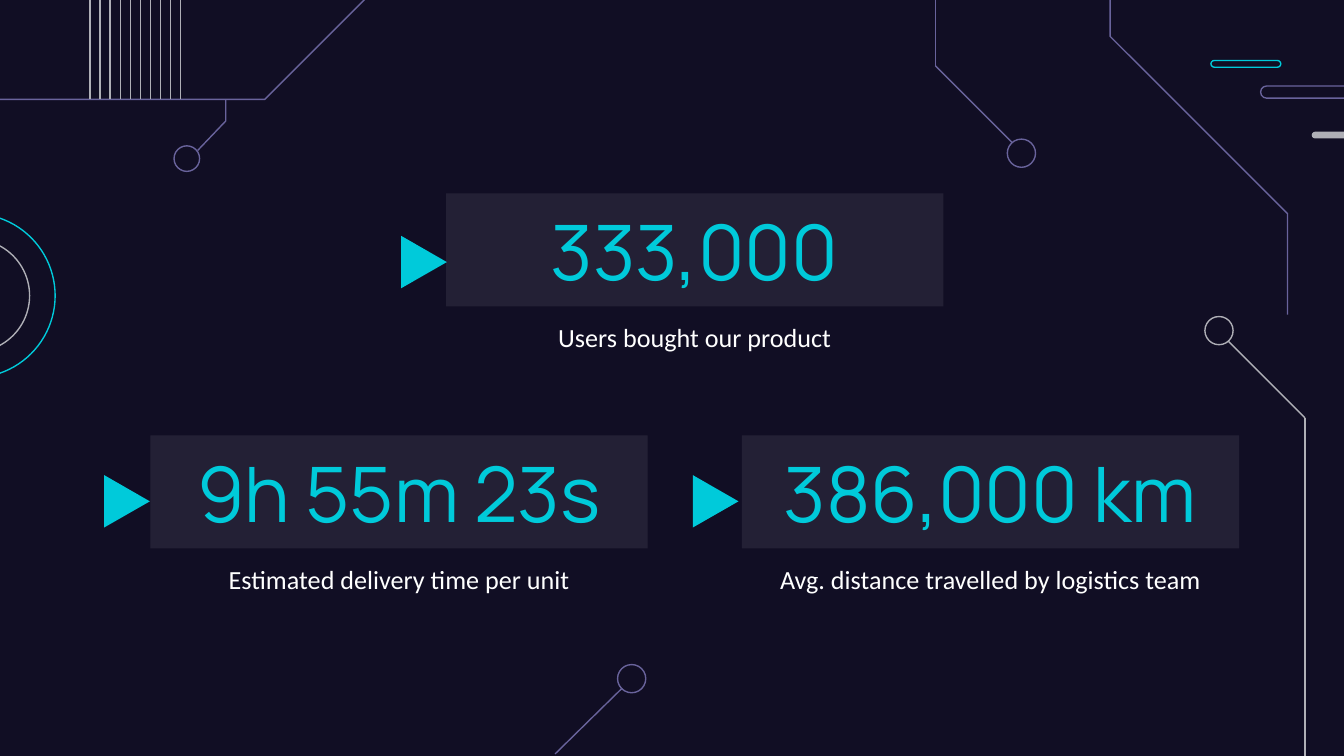
from dataclasses import dataclass

from lxml.etree import SubElement
from pptx import Presentation
from pptx.dml.color import RGBColor
from pptx.enum.shapes import MSO_CONNECTOR, MSO_SHAPE
from pptx.enum.text import MSO_ANCHOR, PP_ALIGN
from pptx.oxml.ns import qn
from pptx.util import Inches, Pt


@dataclass(frozen=True)
class Theme:
    background: str = "110E24"
    cyan: str = "00CADA"
    purple: str = "69639C"
    grey: str = "AFAFB6"
    white: str = "FFFFFF"
    panel_opacity: int = 8
    number_font: str = "Manrope"
    number_size: int = 41
    label_font: str = "Calibri"
    label_size: int = 14
    line_width: float = 0.75


def write_text(sp, text, *, font, size, color, anchor=MSO_ANCHOR.TOP):
    tf = sp.text_frame
    tf.word_wrap = True
    tf.vertical_anchor = anchor
    tf.margin_left = tf.margin_right = tf.margin_top = tf.margin_bottom = Inches(0.1)
    p = tf.paragraphs[0]
    p.alignment = PP_ALIGN.CENTER
    r = p.add_run()
    r.text = text
    r.font.name = font
    r.font.size = Pt(size)
    r.font.color.rgb = RGBColor.from_string(color)


class Deck:
    def __init__(self, theme, width, height):
        self.theme = theme
        self.prs = Presentation()
        self.prs.slide_width, self.prs.slide_height = Inches(width), Inches(height)
        self.s = self.prs.slides.add_slide(self.prs.slide_layouts[6])
        fill = self.s.background.fill
        fill.solid()
        fill.fore_color.rgb = RGBColor.from_string(theme.background)

    def style(self, sp, fill=None, line=None):
        sp.shadow.inherit = False
        if fill:
            sp.fill.solid()
            sp.fill.fore_color.rgb = RGBColor.from_string(fill)
        else:
            sp.fill.background()
        if line:
            self.stroke(sp, line)
        else:
            sp.line.fill.background()
        return sp

    def stroke(self, sp, color):
        sp.line.color.rgb = RGBColor.from_string(color)
        sp.line.width = Pt(self.theme.line_width)

    def shape(self, kind, x, y, w, h, fill=None, line=None):
        sp = self.s.shapes.add_shape(kind, Inches(x), Inches(y), Inches(w), Inches(h))
        return self.style(sp, fill, line)

    def circle(self, cx, cy, diameter, color):
        corner = cx - diameter / 2, cy - diameter / 2
        self.shape(MSO_SHAPE.OVAL, *corner, diameter, diameter, line=color)

    def pill(self, x, y, w, h, **paint):
        self.shape(MSO_SHAPE.ROUNDED_RECTANGLE, x, y, w, h, **paint).adjustments[0] = 0.5

    def line(self, start, end, color):
        ends = [Inches(v) for v in (*start, *end)]
        sp = self.s.shapes.add_connector(MSO_CONNECTOR.STRAIGHT, *ends)
        self.stroke(sp, color)
        SubElement(sp._element.spPr, qn("a:effectLst"))

    def trace(self, points, color):
        """Draw an open circuit trace through the points."""
        pts = [(Inches(x), Inches(y)) for x, y in points]
        builder = self.s.shapes.build_freeform(*pts[0])
        builder.add_line_segments(pts[1:], close=False)
        self.style(builder.convert_to_shape(), line=color)

    def pointer(self, x, y):
        """Draw a triangle that points right."""
        sp = self.shape(MSO_SHAPE.FLOWCHART_MERGE, x, y, 0.39, 0.34, fill=self.theme.cyan)
        sp.rotation = 270

    def statistic(self, x, y, number, label):
        t, w, h = self.theme, 3.7, 0.84
        panel = self.shape(MSO_SHAPE.RECTANGLE, x, y, w, h, fill=t.white)
        color = panel._element.spPr.find(qn("a:solidFill"))[0]
        SubElement(color, qn("a:alpha"), val=str(t.panel_opacity * 1000))
        write_text(panel, number, font=t.number_font, size=t.number_size,
                   color=t.cyan, anchor=MSO_ANCHOR.MIDDLE)
        box = self.s.shapes.add_textbox(Inches(x), Inches(y + 0.85), Inches(w), Inches(0.42))
        write_text(box, label, font=t.label_font, size=t.label_size, color=t.white)


def draw_circuit(deck):
    t = deck.theme
    deck.pill(9.76, 0.98, 0.48, 0.05, fill=t.grey)
    deck.pill(9.01, 0.45, 0.52, 0.05, line=t.cyan)
    deck.pill(9.38, 0.64, 0.9, 0.09, line=t.purple)

    for diameter, color in ((1.22, t.cyan), (0.84, t.grey)):
        deck.circle(-0.2, 2.2, diameter, color)

    for start, end, color in (
        ((9.71, 3.11), (9.71, 6.03), t.grey),
        ((9.71, 3.11), (9.14, 2.54), t.grey),
        ((4.13, 5.61), (4.63, 5.12), t.purple),
        ((6.96, 0.49), (6.96, -2.43), t.purple),
        ((6.96, 0.49), (7.53, 1.06), t.purple),
    ):
        deck.line(start, end, color)

    for cx, cy, diameter, color in (
        (9.07, 2.46, 0.21, t.grey),
        (4.7, 5.05, 0.21, t.purple),
        (1.39, 1.18, 0.19, t.purple),
        (7.6, 1.14, 0.21, t.purple),
    ):
        deck.circle(cx, cy, diameter, color)

    for points in (
        [(3.28, -0.57), (1.97, 0.74), (-1.47, 0.74)],
        [(1.47, 1.12), (1.68, 0.9), (1.68, 0.74)],
        [(9.58, 2.34), (9.58, 1.59), (8.26, 0.27), (8.26, -0.47),
         (8.81, -1.01), (8.81, -1.66), (7.42, -2.46), (7.42, -4.23)],
    ):
        deck.trace(points, t.purple)

    for i in range(10):
        x = 0.67 + i * 0.075
        deck.line((x, -3.48), (x, 0.74), t.grey)


def main():
    width = 10
    deck = Deck(Theme(), width, width * 9 / 16)
    draw_circuit(deck)
    for x, y, number, label in (
        (1.12, 3.24, "9h 55m 23s", "Estimated delivery time per unit"),
        (3.32, 1.44, "333,000", "Users bought our product"),
        (5.52, 3.24, "386,000 km", "Avg. distance travelled by logistics team"),
    ):
        deck.statistic(x, y, number, label)
    for x, y in ((2.96, 1.78), (0.75, 3.56), (5.13, 3.56)):
        deck.pointer(x, y)
    deck.prs.save("out.pptx")


if __name__ == "__main__":
    main()
